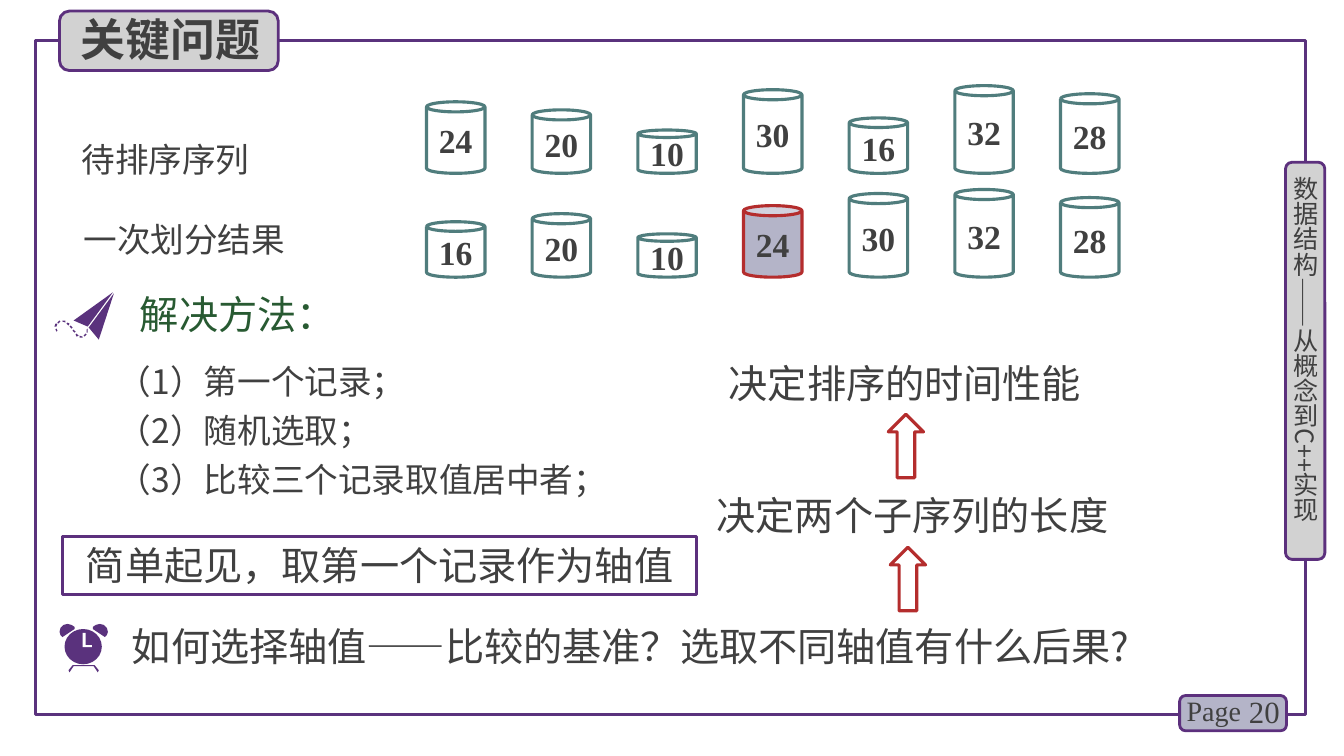
from dataclasses import dataclass
from lxml.etree import SubElement
from pptx import Presentation
from pptx.dml.color import RGBColor
from pptx.enum.shapes import MSO_SHAPE as Kind
from pptx.enum.text import MSO_ANCHOR as Anchor, MSO_AUTO_SIZE as Fit, PP_ALIGN as Align
from pptx.oxml.ns import qn
from pptx.util import Inches, Pt


@dataclass(frozen=True)
class Theme:
    ink: str = "404040"
    purple: str = "5A327D"
    border: str = "5C307D"
    grey: str = "D2D2D2"
    lilac: str = "B4B4C8"
    teal: str = "507D7D"
    red: str = "B42D2D"
    green: str = "285A32"
    white: str = "FFFFFF"
    sans: str = "Noto Sans CJK SC"
    serif: str = "Times New Roman"
    title: int = 32
    lead: int = 28
    body: int = 24
    number: int = 22
    page: int = 20
    side: int = 18


theme = Theme()
deck = Presentation()
deck.slide_width, deck.slide_height = Inches(13.33), Inches(7.5)
page = deck.slides.add_slide(deck.slide_layouts[1])
shapes = page.shapes


def paint(shape, fill=None, line=None, width=2.25):
    shape.shadow.inherit = False
    if fill:
        shape.fill.solid()
        shape.fill.fore_color.rgb = RGBColor.from_string(fill)
    else:
        shape.fill.background()
    if line:
        shape.line.color.rgb = RGBColor.from_string(line)
        shape.line.width = Pt(width)
    else:
        shape.line.fill.background()


def write(shape, text, size, font=theme.sans, color=theme.ink, bold=False,
          align=Align.LEFT, anchor=Anchor.TOP, wrap=True):
    frame = shape.text_frame
    frame.text = text
    frame.word_wrap, frame.vertical_anchor, frame.auto_size = wrap, anchor, Fit.NONE
    for para in frame.paragraphs:
        para.alignment = align
        para.font.size, para.font.bold, para.font.name = Pt(size), bold, font
        para.font.color.rgb = RGBColor.from_string(color)
        defaults = para._p.pPr.find(qn("a:defRPr"))
        SubElement(defaults, qn("a:ea")).set("typeface", theme.sans)


# Frame, page tab, side tab and title tab
for kind, box, fill, line, width in [
    (Kind.RECTANGLE, (0.35, 0.4, 12.6, 6.69), None, theme.purple, 2.25),
    (Kind.ROUNDED_RECTANGLE, (11.7, 6.9, 1.06, 0.35), theme.lilac, theme.border, 2),
    (Kind.ROUNDED_RECTANGLE, (12.75, 1.61, 0.39, 3.94), theme.grey, theme.border, 2),
    (Kind.ROUNDED_RECTANGLE, (0.59, 0.11, 2.17, 0.59), theme.grey, theme.border, 2),
]:
    paint(shapes.add_shape(kind, *map(Inches, box)), fill, line, width)

# Title and list of methods, in front of the tabs
title, methods = page.placeholders
for holder, box in [(title, (0.7, 0.07, 2.12, 0.64)), (methods, (1.07, 3.44, 5.26, 1.48))]:
    holder.left, holder.top, holder.width, holder.height = map(Inches, box)
    shapes._spTree.append(holder._element)
write(title, "关键问题", theme.title, bold=True)
write(methods, "（1）第一个记录；\n（2）随机选取；\n（3）比较三个记录取值居中者；", theme.body)
for para in methods.text_frame.paragraphs:
    para.line_spacing, para.space_before = Pt(35), Pt(0)
    layout = para._p.pPr
    layout.set("marL", "0")
    layout.set("indent", "0")
    layout.find(qn("a:defRPr")).addprevious(SubElement(layout, qn("a:buNone")))

# Text boxes
for text, box, size, style in [
    ("20", (12.2, 6.86, 0.59, 0.4), theme.number,
     dict(font=theme.serif, align=Align.RIGHT, anchor=Anchor.MIDDLE)),
    ("Page", (11.67, 6.83, 0.78, 0.44), theme.page, dict(font=theme.serif)),
    ("如何选择轴值——比较的基准？选取不同轴值有什么后果?", (1.21, 6.12, 11.07, 0.57), theme.lead, {}),
    ("决定两个子序列的长度", (7.01, 4.83, 4.13, 0.57), theme.lead, dict(wrap=False)),
    ("决定排序的时间性能", (7.13, 3.52, 3.74, 0.57), theme.lead, dict(wrap=False)),
    ("解决方法：", (1.29, 2.83, 2.17, 0.57), theme.lead, dict(color=theme.green, wrap=False)),
    ("待排序序列", (0.71, 1.33, 2.06, 0.5), theme.body,
     dict(font=theme.serif, anchor=Anchor.MIDDLE)),
    ("一次划分结果", (0.73, 2.12, 2.73, 0.5), theme.body,
     dict(font=theme.serif, anchor=Anchor.MIDDLE)),
]:
    write(shapes.add_textbox(*map(Inches, box)), text, size, **style)

# Vertical book name in the side tab
book = shapes.add_textbox(*map(Inches, (12.8, 1.75, 0.3, 3.78)))
write(book, "数据结构——从概念到C++实现", theme.side)
frame = book.text_frame
frame.margin_left = frame.margin_right = frame.margin_top = frame.margin_bottom = 0
frame._txBody.bodyPr.set("vert", "eaVert")

# Conclusion box
choice = shapes.add_shape(Kind.RECTANGLE, *map(Inches, (0.62, 5.32, 6.29, 0.58)))
paint(choice, line=theme.border)
write(choice, "简单起见，取第一个记录作为轴值", theme.lead, align=Align.CENTER)

# Arrows from cause to effect
for left, top in [(8.83, 5.43), (8.81, 4.11)]:
    arrow = shapes.add_shape(Kind.UP_ARROW, *map(Inches, (left, top, 0.35, 0.63)))
    paint(arrow, line=theme.red)

# Sequences before and after one partition; height follows the value
for bottom, values, pivot in [
    (1.72, (24, 20, 10, 30, 16, 32, 28), None),
    (2.75, (16, 20, 10, 24, 30, 32, 28), 24),
]:
    for column, value in enumerate(values):
        height = 0.23 + 0.02 * value
        box = (4.23 + 1.048 * column, bottom - height, 0.58, height)
        can = shapes.add_shape(Kind.CAN, *map(Inches, box))
        can.adjustments[0] = 0.173
        if value == pivot:
            paint(can, theme.lilac, theme.red)
        else:
            paint(can, line=theme.teal)
        write(can, str(value), theme.body, theme.serif, bold=True,
              align=Align.CENTER, anchor=Anchor.MIDDLE, wrap=False)

# Alarm clock face
face = shapes.add_shape(Kind.OVAL, *map(Inches, (0.64, 6.24, 0.37, 0.35)))
paint(face, theme.purple)

# Outlines in hundredths of an inch
hands = [(82, 628), (85, 628), (85, 640), (91, 640), (91, 642), (82, 642)]
left_bell = [(67, 619), (63, 620), (60, 623), (59, 627), (60, 630), (62, 632),
             (74, 624), (74, 622), (71, 620)]
right_bell = [(166 - x, y) for x, y in left_bell]
feet = [(98, 665), (94, 660), (72, 660), (68, 665), (69, 667), (73, 661), (93, 661), (97, 667)]
wing = [(113, 291), (98, 337), (88, 325)]
body = [(112, 290), (87, 324), (73, 318)]
trail = [
    [(87, 326), (87, 330), (86, 330), (86, 327)],
    [(85, 331), (86, 332), (84, 334), (83, 333)],
    [(79, 333), (82, 334), (82, 335), (79, 335)],
    [(76, 331), (78, 333), (76, 334), (75, 332)],
    [(73, 327), (75, 329), (74, 330), (72, 328)],
    [(70, 323), (72, 325), (71, 326), (69, 324)],
    [(67, 320), (69, 321), (68, 323), (66, 321)],
    [(62, 318), (65, 318), (65, 320), (62, 319)],
    [(59, 318), (60, 319), (58, 321), (57, 320)],
    [(56, 326), (57, 328), (56, 329), (55, 327)],
    [(55, 321), (57, 321), (56, 324), (54, 324)],
]

# Clock parts, paper plane and its trail
for outline in [hands, left_bell, right_bell, feet, wing, body, *trail]:
    builder = shapes.build_freeform(*outline[0], scale=Inches(0.01))
    builder.add_line_segments(outline[1:], close=True)
    paint(builder.convert_to_shape(), theme.white if outline is hands else theme.purple)

deck.save("out.pptx")
